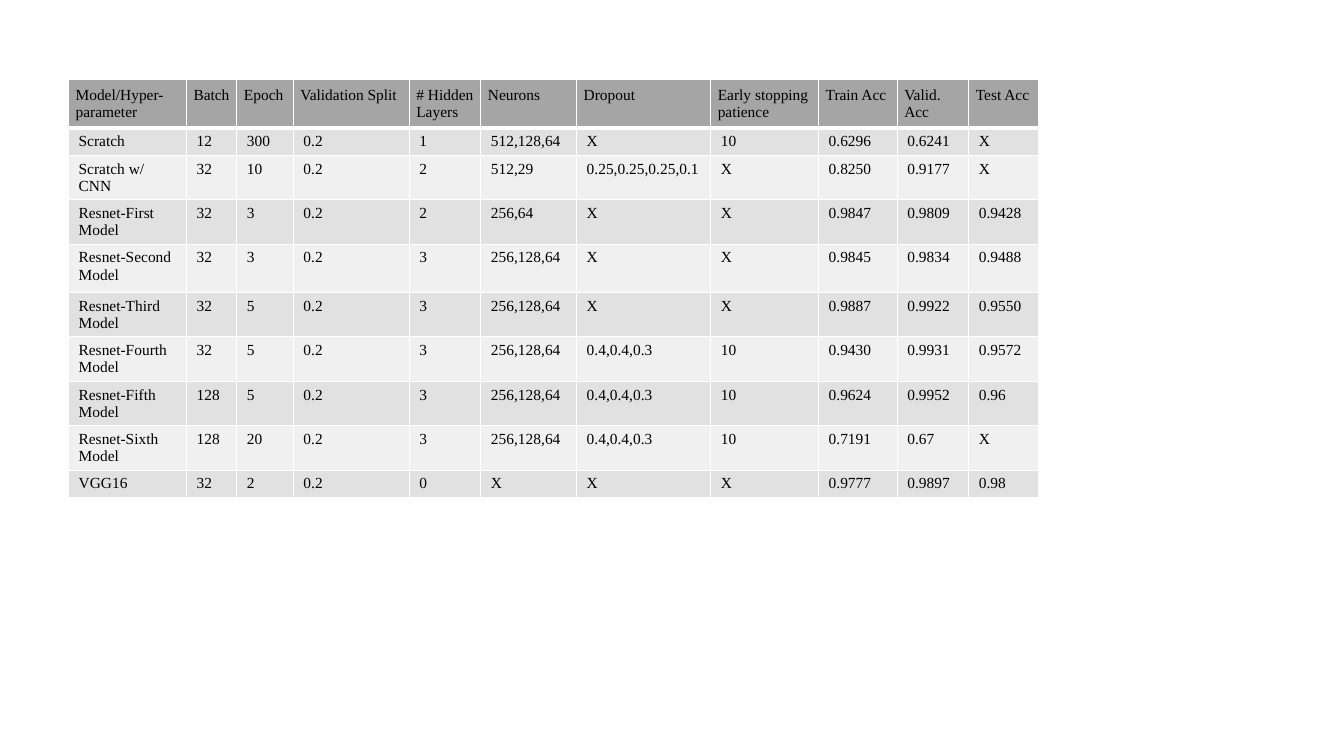
from lxml.etree import SubElement
from pptx import Presentation
from pptx.dml.color import RGBColor
from pptx.oxml.ns import qn
from pptx.util import Inches, Pt

BLACK = RGBColor(0x00, 0x00, 0x00)
WHITE = RGBColor(0xFF, 0xFF, 0xFF)
HEADER_GRAY = RGBColor(0xA5, 0xA5, 0xA5)
BAND_GRAYS = (RGBColor(0xE1, 0xE1, 0xE1), RGBColor(0xF0, 0xF0, 0xF0))

COLUMN_WIDTHS = (1.17, 0.5, 0.56, 1.15, 0.71, 0.95, 1.33, 1.07, 0.78, 0.71, 0.69)
ROW_HEIGHTS = (0.42, 0.23, 0.38, 0.38, 0.48, 0.38, 0.38, 0.38, 0.38, 0.23)

MODEL_RESULTS = (
    ("Model/Hyper-parameter", "Batch", "Epoch", "Validation Split", "# Hidden Layers", "Neurons",
     "Dropout", "Early stopping patience", "Train Acc", "Valid.\nAcc", "Test Acc"),
    ("Scratch", "12", "300", "0.2", "1", "512,128,64", "X", "10", "0.6296", "0.6241", "X"),
    ("Scratch w/ CNN", "32", "10", "0.2", "2", "512,29", "0.25,0.25,0.25,0.1", "X",
     "0.8250", "0.9177", "X"),
    ("Resnet-First Model", "32", "3", "0.2", "2", "256,64", "X", "X", "0.9847", "0.9809", "0.9428"),
    ("Resnet-Second Model", "32", "3", "0.2", "3", "256,128,64", "X", "X",
     "0.9845", "0.9834", "0.9488"),
    ("Resnet-Third Model", "32", "5", "0.2", "3", "256,128,64", "X", "X",
     "0.9887", "0.9922", "0.9550"),
    ("Resnet-Fourth Model", "32", "5", "0.2", "3", "256,128,64", "0.4,0.4,0.3", "10",
     "0.9430", "0.9931", "0.9572"),
    ("Resnet-Fifth Model", "128", "5", "0.2", "3", "256,128,64", "0.4,0.4,0.3", "10",
     "0.9624", "0.9952", "0.96"),
    ("Resnet-Sixth Model", "128", "20", "0.2", "3", "256,128,64", "0.4,0.4,0.3", "10",
     "0.7191", "0.67", "X"),
    ("VGG16", "32", "2", "0.2", "0", "X", "X", "X", "0.9777", "0.9897", "0.98"),
)


class SlideBuilder:
    """Hold the text style and the current slide, and add styled elements to it."""

    def __init__(self, slide, font_name, font_size):
        self.slide = slide
        self.font_name = font_name
        self.font_size = font_size

    def add_table(self, left, top, column_widths, row_heights, rows):
        frame = self.slide.shapes.add_table(
            len(rows), len(column_widths), Inches(left), Inches(top),
            Inches(sum(column_widths)), Inches(sum(row_heights)))
        table = frame.table
        table.first_row = False
        table.horz_banding = False
        for column, width in zip(table.columns, column_widths):
            column.width = Inches(width)
        for row_index, (row, height, texts) in enumerate(zip(table.rows, row_heights, rows)):
            row.height = Inches(height)
            for cell, text in zip(row.cells, texts):
                self.style_cell(cell, text, row_index)

    def style_cell(self, cell, text, row_index):
        is_header = row_index == 0
        self.add_borders(cell, top=3 if row_index == 1 else 1, bottom=3 if is_header else 1)
        cell.fill.solid()
        cell.fill.fore_color.rgb = HEADER_GRAY if is_header else BAND_GRAYS[(row_index - 1) % 2]
        if is_header:
            cell.margin_left = cell.margin_right = Inches(0.07)
            cell.margin_top = cell.margin_bottom = Inches(0.07)
        cell.text = text
        for paragraph in cell.text_frame.paragraphs:
            paragraph.font.name = self.font_name
            paragraph.font.size = Pt(self.font_size)
            paragraph.font.color.rgb = BLACK

    def add_borders(self, cell, top, bottom):
        properties = cell._tc.get_or_add_tcPr()
        for side, width in (("L", 1), ("R", 1), ("T", top), ("B", bottom)):
            line = SubElement(properties, qn(f"a:ln{side}"), w=str(Pt(width)))
            SubElement(SubElement(line, qn("a:solidFill")), qn("a:srgbClr"), val=str(WHITE))


def main():
    presentation = Presentation()
    presentation.slide_width = Inches(13.33)
    presentation.slide_height = Inches(7.5)
    slide = presentation.slides.add_slide(presentation.slide_layouts[6])
    builder = SlideBuilder(slide, "Times New Roman", 11)
    builder.add_table(0.68, 0.79, COLUMN_WIDTHS, ROW_HEIGHTS, MODEL_RESULTS)
    presentation.save("out.pptx")


if __name__ == "__main__":
    main()
